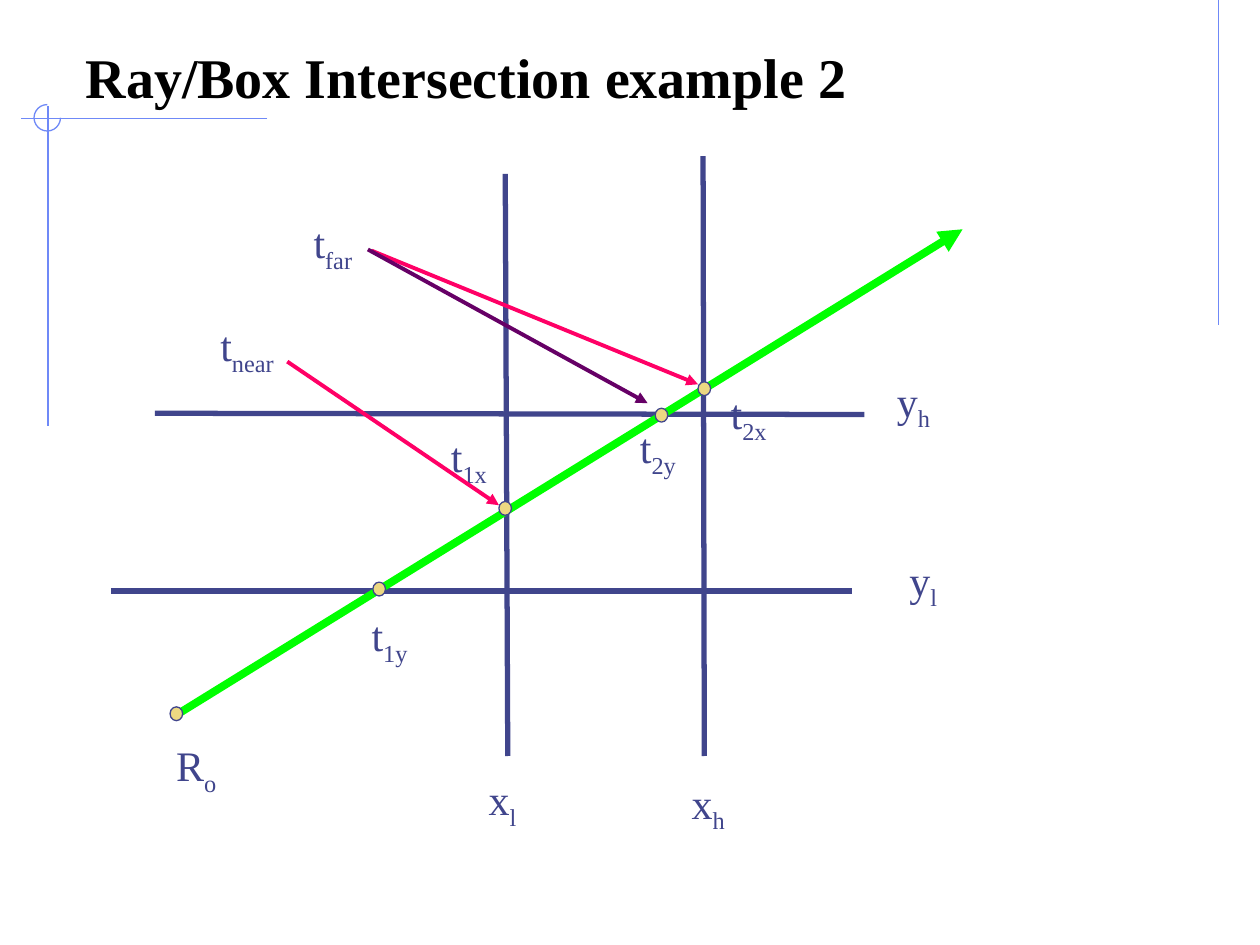
from lxml.etree import SubElement
from pptx import Presentation
from pptx.dml.color import RGBColor
from pptx.enum.shapes import MSO_CONNECTOR, MSO_SHAPE
from pptx.enum.text import MSO_ANCHOR, MSO_AUTO_SIZE, PP_ALIGN
from pptx.oxml.ns import qn
from pptx.util import Inches, Pt

FONT = "Times New Roman"
INK, FRAME, RAY, DOT = "40458C", "6F89F7", "00FF00", "ECD882"
PINK, PURPLE = "FF0066", "660066"
DOT_WIDTH, DOT_HEIGHT = 0.1, 0.11
LABEL_HEIGHT = 0.5

FRAME_LINES = [
    ((9.67, 0), (9.67, 2.58)),
    ((2.12, 0.94), (0.17, 0.94)),
    ((0.38, 0.84), (0.38, 3.38)),
]
SLAB_LINES = [
    ((5.58, 1.24), (5.59, 6)),
    ((4.01, 1.38), (4.03, 6)),
    ((1.23, 3.28), (6.86, 3.29)),
    ((0.88, 4.69), (6.76, 4.69)),
]
POINTERS = [
    ((2.95, 1.99), (5.54, 3.05), PINK),
    ((2.28, 2.87), (3.96, 4.01), PINK),
    ((2.92, 1.98), (5.14, 3.2), PURPLE),
]
# Left and top of the ray origin and of each crossing
DOTS = [(1.35, 5.61), (2.96, 4.62), (5.2, 3.24), (5.54, 3.03), (3.96, 3.98)]
# Letter, subscript, left, top, width
LABELS = [
    ("y", "h", 7.02, 2.93, 0.48),
    ("y", "l", 7.12, 4.35, 0.43),
    ("x", "h", 5.39, 6.12, 0.48),
    ("x", "l", 3.78, 6.09, 0.43),
    ("R", "o", 1.3, 5.82, 0.53),
    ("t", "1y", 2.85, 4.79, 0.52),
    ("t", "2y", 4.98, 3.3, 0.52),
    ("t", "2x", 5.7, 3.03, 0.52),
    ("t", "1x", 3.48, 3.37, 0.52),
    ("t", "far", 2.39, 1.67, 0.54),
    ("t", "near", 1.65, 2.49, 0.68),
]


def color(value):
    return RGBColor.from_string(value)


def style_line(line, value, width):
    line.color.rgb = color(value)
    line.width = Pt(width)


def add_line(page, start, end, value, width, arrow=False):
    connector = page.shapes.add_connector(
        MSO_CONNECTOR.STRAIGHT, *(Inches(length) for length in (*start, *end)))
    style_line(connector.line, value, width)
    properties = connector._element.spPr
    if arrow:
        SubElement(properties.find(qn("a:ln")), qn("a:tailEnd"), type="triangle")
    SubElement(properties, qn("a:effectLst"))


def add_corner_arc(page):
    """Three quarters of a circle where the left frame lines cross."""
    arc = page.shapes.add_shape(
        MSO_SHAPE.ARC, Inches(0.27), Inches(0.83), Inches(0.21), Inches(0.21))
    arc.adjustments[0] = 0
    arc.adjustments[1] = 162  # 270 degrees in units of 100000/60000 degree
    arc.shadow.inherit = False
    arc.fill.background()
    style_line(arc.line, FRAME, 0.75)


def add_dot(page, left, top):
    dot = page.shapes.add_shape(
        MSO_SHAPE.OVAL, Inches(left), Inches(top),
        Inches(DOT_WIDTH), Inches(DOT_HEIGHT))
    dot.shadow.inherit = False
    dot.fill.solid()
    dot.fill.fore_color.rgb = color(DOT)
    style_line(dot.line, INK, 0.75)


def style_font(font, size, value):
    font.name = FONT
    font.size = Pt(size)
    font.color.rgb = color(value)


def add_label(page, letter, subscript, left, top, width):
    box = page.shapes.add_textbox(
        Inches(left), Inches(top), Inches(width), Inches(LABEL_HEIGHT))
    frame = box.text_frame
    frame.word_wrap = False
    frame.auto_size = MSO_AUTO_SIZE.SHAPE_TO_FIT_TEXT
    para = frame.paragraphs[0]
    style_font(para.font, 24, INK)
    para.add_run().text = letter
    span = para.add_run()
    span.text = subscript
    span._r.get_or_add_rPr().set("baseline", "-25000")


def set_title(page, text):
    title = page.shapes.title
    title.left, title.top = Inches(0.58), Inches(0.25)
    title.width, title.height = Inches(8.83), Inches(0.67)
    frame = title.text_frame
    frame.text = text
    frame.vertical_anchor = MSO_ANCHOR.BOTTOM
    frame.auto_size = MSO_AUTO_SIZE.NONE
    para = frame.paragraphs[0]
    para.alignment = PP_ALIGN.LEFT
    style_font(para.font, 32, "000000")
    para.font.bold = True


def main():
    deck = Presentation()
    deck.slide_width, deck.slide_height = Inches(10), Inches(7.5)
    page = deck.slides.add_slide(deck.slide_layouts.get_by_name("Title Only"))
    set_title(page, "Ray/Box Intersection example 2")
    for start, end in FRAME_LINES:
        add_line(page, start, end, FRAME, 0.75)
    add_corner_arc(page)
    for start, end in SLAB_LINES:
        add_line(page, start, end, INK, 3)
    add_line(page, (1.39, 5.68), (7.64, 1.82), RAY, 4.5, arrow=True)
    for left, top in DOTS:
        add_dot(page, left, top)
    for label in LABELS:
        add_label(page, *label)
    for start, end, value in POINTERS:
        add_line(page, start, end, value, 2.25, arrow=True)
    deck.save("out.pptx")


if __name__ == "__main__":
    main()
